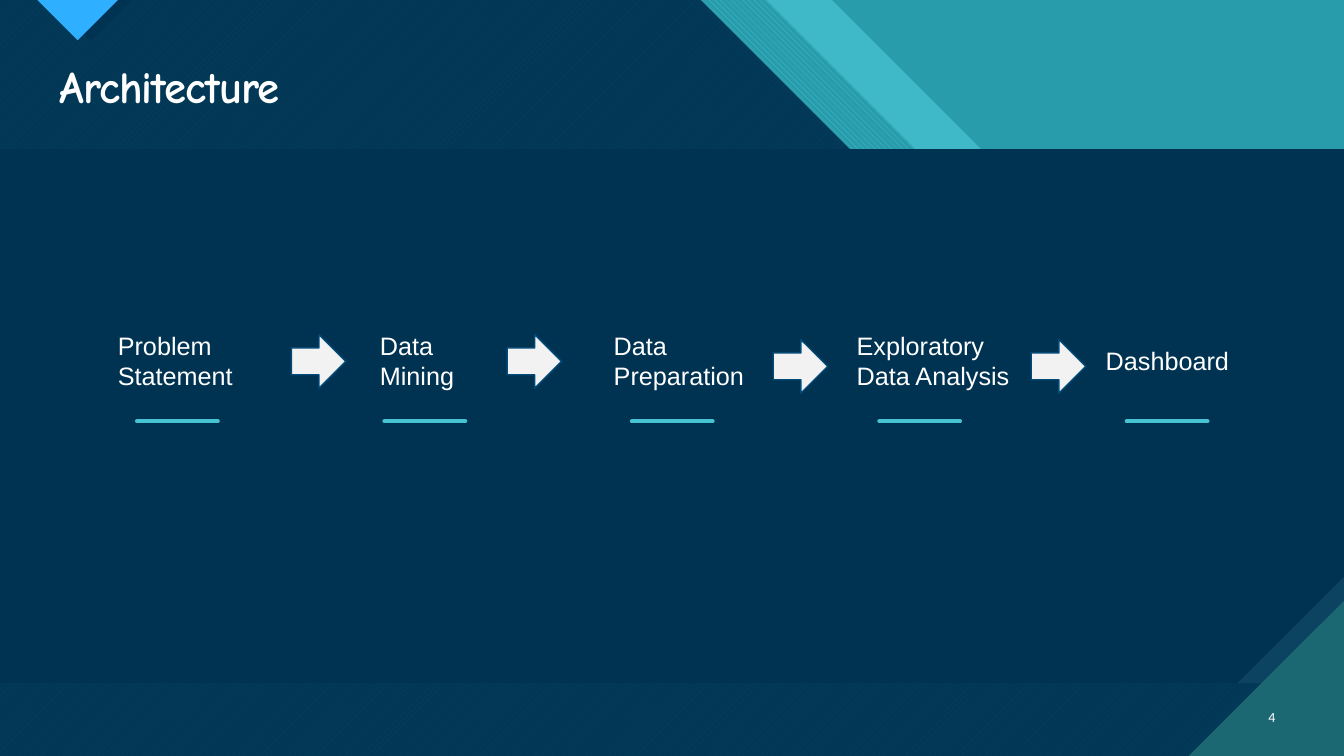
from dataclasses import dataclass
from typing import NamedTuple

from lxml.etree import SubElement
from pptx import Presentation
from pptx.dml.color import RGBColor
from pptx.enum.dml import MSO_PATTERN
from pptx.enum.shapes import MSO_CONNECTOR, MSO_SHAPE
from pptx.enum.text import MSO_ANCHOR, MSO_AUTO_SIZE, PP_ALIGN
from pptx.oxml.ns import qn
from pptx.util import Emu, Inches, Pt


@dataclass(frozen=True)
class Theme:
    """Colours, fonts and type sizes of the slide."""
    navy: str = "003352"
    panel: str = "0C4360"
    teal: str = "299CAB"
    aqua: str = "47C3D3"
    deep_teal: str = "1B6872"
    blue: str = "2FAFFF"
    outline: str = "004B79"
    arrow: str = "F2F2F2"
    text: str = "FFFFFF"
    title_font: str = "Comic Neue"
    label_font: str = "Arial"
    number_font: str = "Calibri"
    title_size: int = 32
    label_size: int = 18
    number_size: int = 10


class Box(NamedTuple):
    """A frame in percent of the slide's width and height."""
    left: float
    top: float
    width: float
    height: float


class Step(NamedTuple):
    """One stage of the process: its lines of text and their frame."""
    lines: tuple[str, ...]
    box: Box


THEME = Theme()
WIDTH, HEIGHT = Inches(13.33), Inches(7.5)

HEADER_BOTTOM = 19.73
HEADER_RUN = 11.1  # horizontal run of a 45 degree edge across the header
BAND_START, BAND_STEP = 52.13, 4.88
PANEL = Box(0, HEADER_BOTTOM, 100, 70.67)

LABEL_TOP, LABEL_HEIGHT = 43.07, 9.47
STEPS = (
    Step(("Problem", "Statement"), Box(8.03, LABEL_TOP, 10.13, LABEL_HEIGHT)),
    Step(("Data", "Mining"), Box(27.53, LABEL_TOP, 7.13, LABEL_HEIGHT)),
    Step(("Data", "Preparation"), Box(44.93, LABEL_TOP, 11.33, LABEL_HEIGHT)),
    Step(("Exploratory", "Data Analysis"), Box(63, LABEL_TOP, 12.98, LABEL_HEIGHT)),
    Step(("Dashboard",), Box(81.53, 45.07, 10.8, 5.33)),
)
ARROWS = ((21.68, 44.27), (37.73, 44.27), (57.53, 44.93), (76.73, 44.93))
RULE_LEFT, RULE_STEP, RULE_WIDTH, RULE_TOP = 10.2, 18.41, 6, 55.73


def across(percent):
    """Turn a share of the slide's width into a length."""
    return Emu(round(WIDTH * percent / 100))


def down(percent):
    """Turn a share of the slide's height into a length."""
    return Emu(round(HEIGHT * percent / 100))


def frame(box: Box):
    """Give left, top, width and height of a box as lengths."""
    return across(box.left), down(box.top), across(box.width), down(box.height)


def colour(value: str):
    """Turn a hex value into a colour."""
    return RGBColor.from_string(value)


def paint(shape, fill: str, opacity: int = 100):
    """Fill a shape plainly, without outline or shadow."""
    shape.shadow.inherit = False
    shape.line.fill.background()
    shape.fill.solid()
    shape.fill.fore_color.rgb = colour(fill)
    if opacity < 100:
        tint = shape.element.spPr.find(qn("a:solidFill"))[0]
        SubElement(tint, qn("a:alpha"), val=str(opacity * 1000))


def hatch(shape, pattern, fore: str, back: str):
    """Replace the fill of a shape with a pattern."""
    shape.fill.patterned()
    shape.fill.pattern = pattern
    shape.fill.fore_color.rgb = colour(fore)
    shape.fill.back_color.rgb = colour(back)


def add_polygon(slide, points, fill: str, opacity: int = 100):
    """Draw a closed outline through points given in percent."""
    corners = [(across(x), down(y)) for x, y in points]
    builder = slide.shapes.build_freeform(*corners[0], scale=1.0)
    builder.add_line_segments(corners[1:], close=True)
    shape = builder.convert_to_shape()
    paint(shape, fill, opacity)
    return shape


def add_band(slide, index: int, fill: str, opacity: int = 100):
    """Draw a layer that ends in a diagonal edge across the header."""
    start = BAND_START + index * BAND_STEP
    points = ((0, 0), (start, 0), (start + HEADER_RUN, HEADER_BOTTOM),
              (100, HEADER_BOTTOM), (100, 100), (0, 100))
    return add_polygon(slide, points, fill, opacity)


def add_backdrop(slide):
    """Draw the header bands, the body panel and the corner triangles."""
    slide.background.fill.solid()
    slide.background.fill.fore_color.rgb = colour(THEME.teal)
    add_band(slide, 2, THEME.aqua, 74)
    hatch(add_band(slide, 1, THEME.aqua), MSO_PATTERN.WIDE_DOWNWARD_DIAGONAL,
          THEME.aqua, THEME.teal)
    hatch(add_band(slide, 0, THEME.aqua), MSO_PATTERN.WIDE_UPWARD_DIAGONAL,
          THEME.aqua, THEME.deep_teal)
    add_band(slide, 0, THEME.navy, 90)
    add_polygon(slide, ((3.6, 0), (9.83, 0), (6.75, 5.47)), THEME.navy)
    add_polygon(slide, ((2.78, 0), (8.78, 0), (5.78, 5.33)), THEME.blue)
    for snip, fill in ((0, THEME.panel), (0.2, THEME.navy)):
        panel = slide.shapes.add_shape(MSO_SHAPE.SNIP_1_RECTANGLE, *frame(PANEL))
        panel.adjustments[0] = snip
        panel.element.spPr.find(qn("a:xfrm")).set("flipV", "1")
        paint(panel, fill)
    add_polygon(slide, ((88.43, 100), (100, 100), (100, 79.47)), THEME.deep_teal)


def set_font(paragraph, name: str, size: int):
    """Set the font of a whole paragraph."""
    paragraph.font.name = name
    paragraph.font.size = Pt(size)
    paragraph.font.color.rgb = colour(THEME.text)


def add_title(slide, text: str):
    """Place and format the title above the backdrop."""
    title = slide.shapes.title
    title.element.getparent().append(title.element)
    title.left, title.top, title.width, title.height = frame(Box(3.68, 7.87, 91.95, 7.87))
    title.text_frame.text = text
    title.text_frame.vertical_anchor = MSO_ANCHOR.MIDDLE
    title.text_frame.auto_size = MSO_AUTO_SIZE.SHAPE_TO_FIT_TEXT
    paragraph = title.text_frame.paragraphs[0]
    paragraph.alignment = PP_ALIGN.LEFT
    paragraph.line_spacing = 0.9
    set_font(paragraph, THEME.title_font, THEME.title_size)
    paragraph.font.bold = True
    paragraph.runs[0].font._element.set("spc", "-70")


def add_label(slide, step: Step):
    """Write the name of a step."""
    text_frame = slide.shapes.add_textbox(*frame(step.box)).text_frame
    text_frame.word_wrap = False
    text_frame.auto_size = MSO_AUTO_SIZE.SHAPE_TO_FIT_TEXT
    text_frame.text = "\n".join(step.lines)
    for paragraph in text_frame.paragraphs:
        set_font(paragraph, THEME.label_font, THEME.label_size)


def add_rule(slide, index: int):
    """Draw the short line below a step."""
    left = RULE_LEFT + index * RULE_STEP
    rule = slide.shapes.add_connector(
        MSO_CONNECTOR.STRAIGHT, across(left), down(RULE_TOP),
        across(left + RULE_WIDTH), down(RULE_TOP))
    rule.line.color.rgb = colour(THEME.aqua)
    rule.line.width = Pt(3)
    rule.line._ln.set("cap", "rnd")
    SubElement(rule.element.spPr, qn("a:effectLst"))


def add_arrow(slide, left: float, top: float):
    """Draw a block arrow between two steps."""
    arrow = slide.shapes.add_shape(MSO_SHAPE.RIGHT_ARROW, *frame(Box(left, top, 4.05, 7.07)))
    paint(arrow, THEME.arrow)
    arrow.line.color.rgb = colour(THEME.outline)
    arrow.line.width = Pt(1)


def add_slide_number(slide, number: str):
    """Write the slide number in the bottom corner."""
    text_frame = slide.shapes.add_textbox(*frame(Box(92.33, 92.13, 3.3, 5.33))).text_frame
    text_frame.word_wrap = True
    text_frame.vertical_anchor = MSO_ANCHOR.MIDDLE
    text_frame.text = number
    text_frame.paragraphs[0].alignment = PP_ALIGN.RIGHT
    set_font(text_frame.paragraphs[0], THEME.number_font, THEME.number_size)


presentation = Presentation()
presentation.slide_width, presentation.slide_height = WIDTH, HEIGHT
slide = presentation.slides.add_slide(presentation.slide_layouts[5])
add_backdrop(slide)
add_title(slide, "Architecture")
for index, step in enumerate(STEPS):
    add_rule(slide, index)
    add_label(slide, step)
for left, top in ARROWS:
    add_arrow(slide, left, top)
add_slide_number(slide, "4")
presentation.save("out.pptx")
